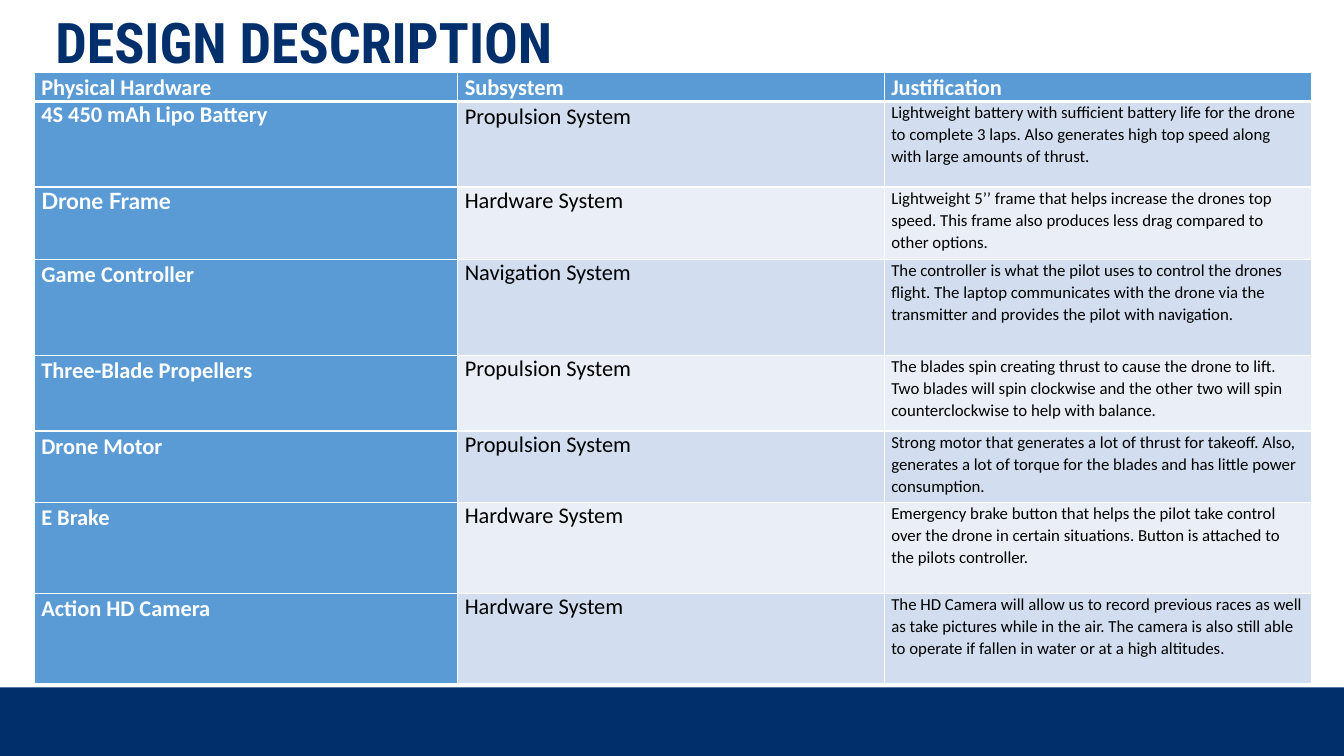
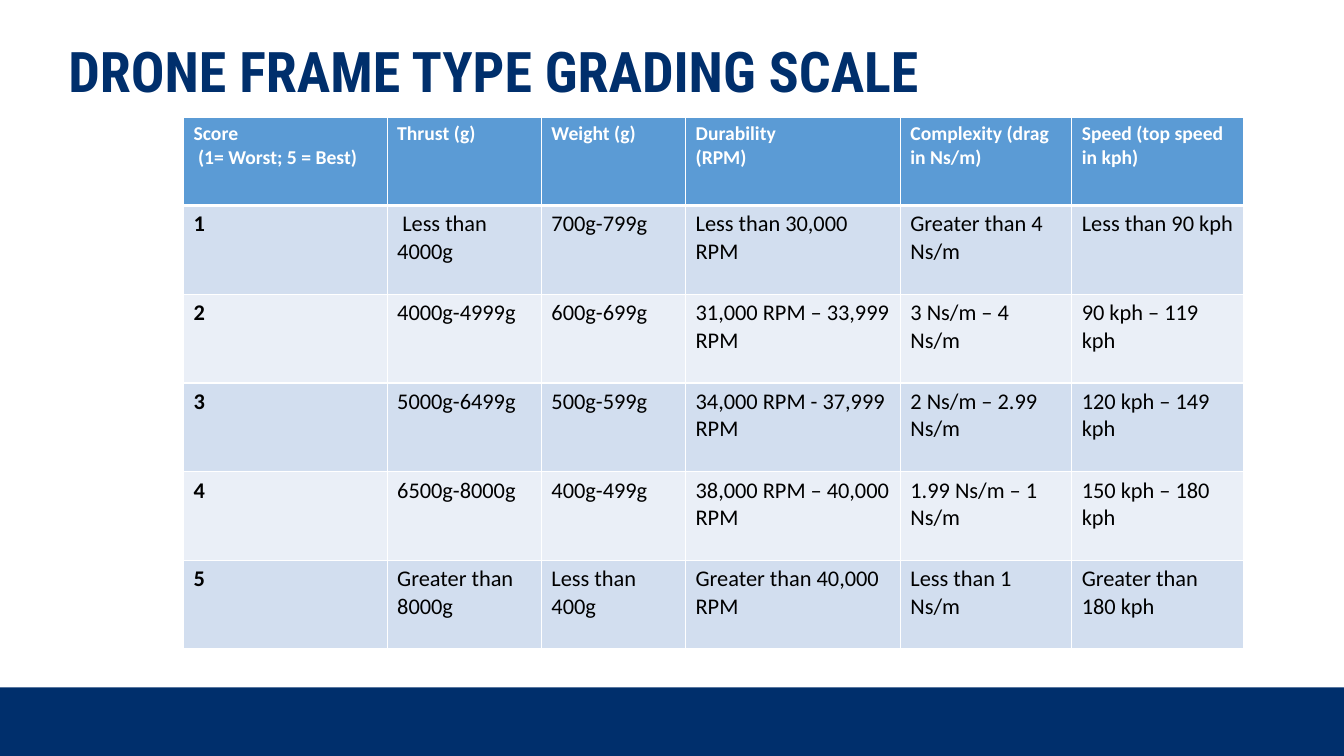
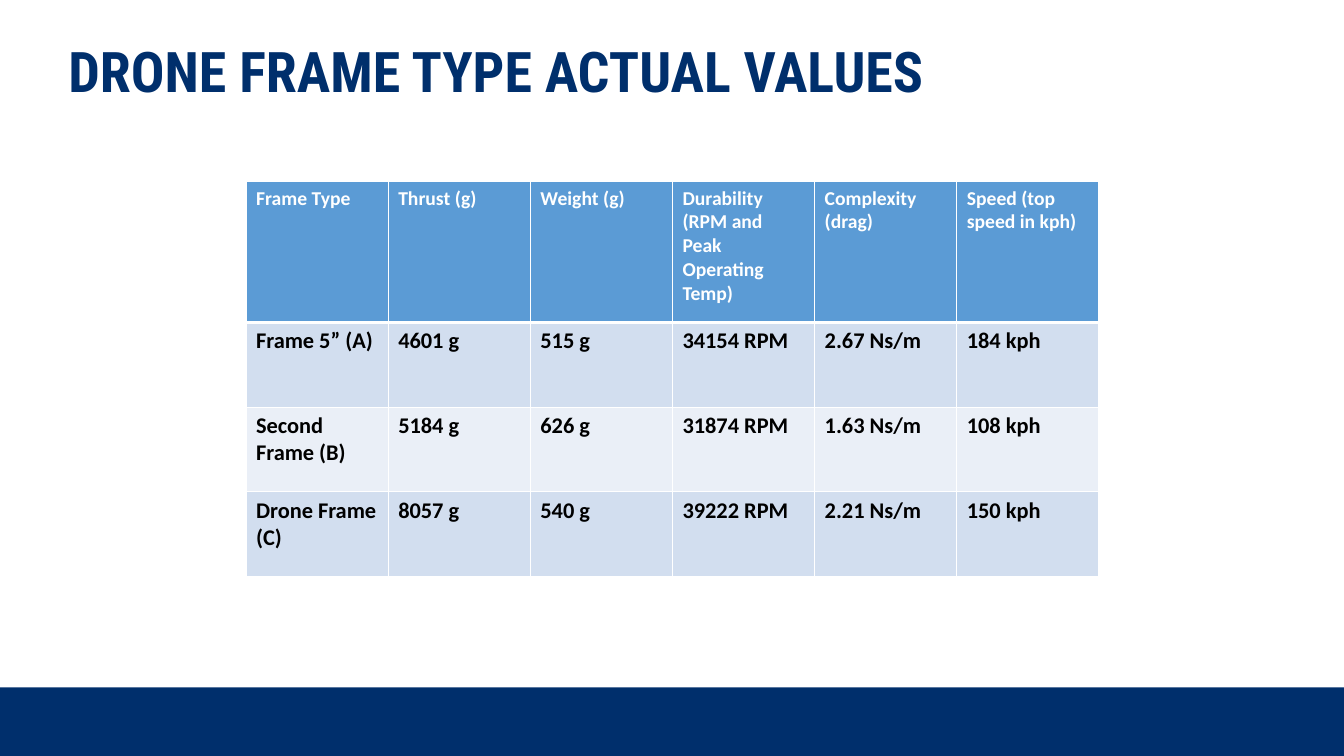
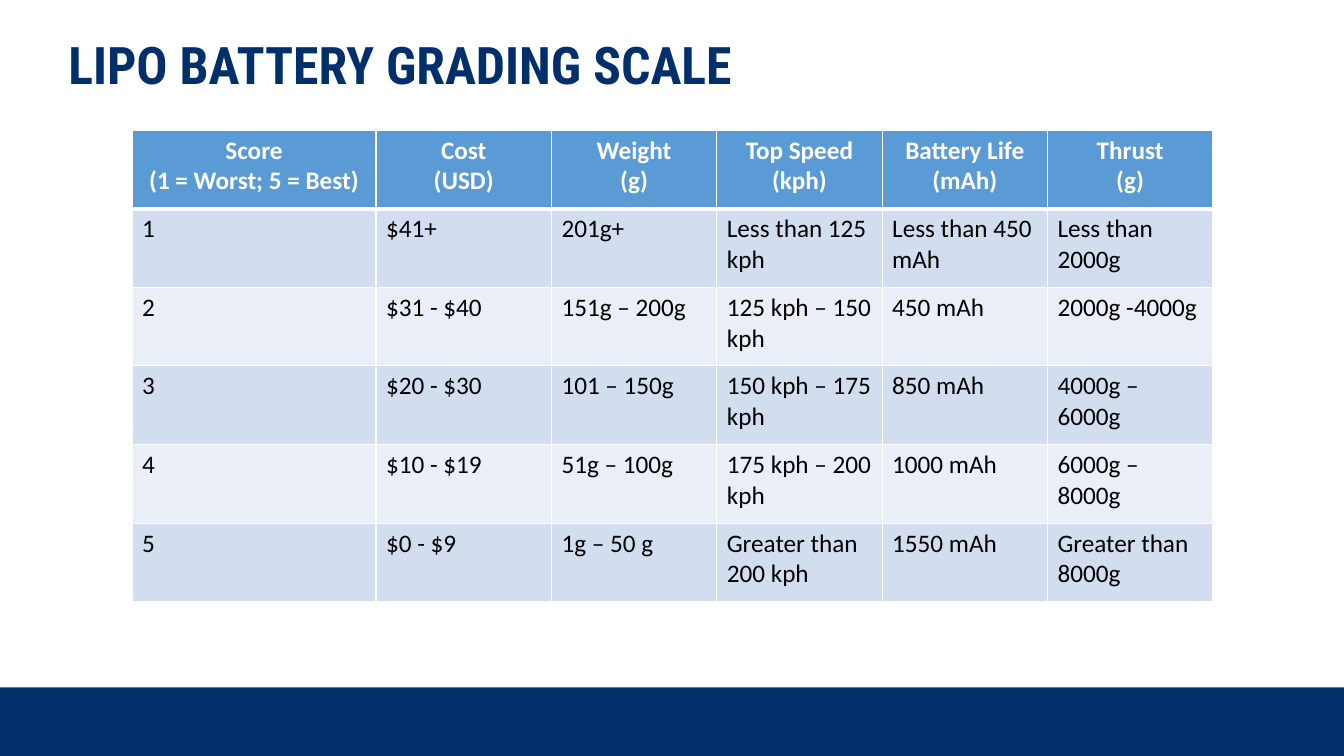
import dataclasses
import pptx
import pptx.dml.color
import pptx.enum.shapes
import pptx.enum.text
import pptx.oxml
import pptx.oxml.ns
import pptx.util

Inches = pptx.util.Inches
Point = pptx.util.Pt


@dataclasses.dataclass(frozen=True)
class Theme:
    navy: str = "002F6C"
    header: str = "5B9BD5"
    bands: tuple = ("D2DEEF", "EAEFF7")
    white: str = "FFFFFF"
    black: str = "000000"
    title_font: str = "Roboto Condensed"
    body_font: str = "Calibri"
    accent_font: str = "Lato"
    title_size: int = 40
    compact_title_size: int = 37
    large_size: int = 18
    body_size: int = 16
    header_size: int = 14
    detail_size: int = 12
    thin_border: int = 1
    thick_border: int = 3


THEME = Theme()
SLIDE_WIDTH, SLIDE_HEIGHT = 13.33, 7.5
FOOTER_TOP = 6.82
TITLE_BOX = (0.58, 0.39, 12.07, 0.61)
CENTER = pptx.enum.text.PP_ALIGN.CENTER


@dataclasses.dataclass(frozen=True)
class CellStyle:
    size: int = THEME.body_size
    color: str = THEME.black
    bold: bool = False
    font: str = THEME.body_font
    spacing: float = 1.0
    alignment: object = None
    fill: str = ""


def rgb(value):
    return pptx.dml.color.RGBColor.from_string(value)


def add_text(paragraph, text, style):
    if style.alignment is not None:
        paragraph.alignment = style.alignment
    if style.spacing != 1.0:
        paragraph.line_spacing = style.spacing
    run = paragraph.add_run()
    run.text = text
    run.font.name = style.font
    run.font.size = Point(style.size)
    run.font.bold = style.bold
    run.font.color.rgb = rgb(style.color)


def add_footer(slide):
    footer = slide.shapes.add_shape(
        pptx.enum.shapes.MSO_SHAPE.RECTANGLE,
        0, Inches(FOOTER_TOP), Inches(SLIDE_WIDTH), Inches(SLIDE_HEIGHT - FOOTER_TOP))
    footer.shadow.inherit = False
    footer.fill.solid()
    footer.fill.fore_color.rgb = rgb(THEME.navy)
    footer.line.fill.background()


def add_title(slide, text, box=TITLE_BOX, size=THEME.title_size, spacing=0.9):
    frame = slide.shapes.add_textbox(*map(Inches, box)).text_frame
    frame.word_wrap = True
    add_text(frame.paragraphs[0], text,
             CellStyle(size, THEME.navy, True, THEME.title_font, spacing))


def set_borders(cell, row_index):
    properties = cell._tc.get_or_add_tcPr()
    thick_side = {0: "lnB", 1: "lnT"}.get(row_index)
    for side in ("lnL", "lnR", "lnT", "lnB"):
        width = THEME.thick_border if side == thick_side else THEME.thin_border
        properties.append(pptx.oxml.parse_xml(
            f'<a:{side} {pptx.oxml.ns.nsdecls("a")} w="{Point(width)}">'
            f'<a:solidFill><a:srgbClr val="{THEME.white}"/></a:solidFill></a:{side}>'))


def fill_cell(cell, text, style, row_index, insets):
    cell.margin_left = cell.margin_right = Inches(insets[0])
    cell.margin_top = cell.margin_bottom = Inches(insets[1])
    set_borders(cell, row_index)
    cell.fill.solid()
    cell.fill.fore_color.rgb = rgb(style.fill or THEME.bands[(row_index - 1) % 2])
    frame = cell.text_frame
    for index, line in enumerate(text.split("\n")):
        paragraph = frame.add_paragraph() if index else frame.paragraphs[0]
        add_text(paragraph, line, style)


def add_table(slide, origin, widths, heights, rows, header_style, column_styles,
              exceptions=None, insets=(0.1, 0.05)):
    box = (*origin, sum(widths), sum(heights))
    table = slide.shapes.add_table(len(rows), len(widths), *map(Inches, box)).table
    table.first_row = table.horz_banding = False
    for column, width in zip(table.columns, widths):
        column.width = Inches(width)
    for row, height in zip(table.rows, heights):
        row.height = Inches(height)
    for row_index, row in enumerate(rows):
        for column_index, text in enumerate(row):
            style = column_styles[column_index] if row_index else header_style
            changes = (exceptions or {}).get((row_index, column_index), {})
            fill_cell(table.cell(row_index, column_index), text,
                      dataclasses.replace(style, **changes), row_index, insets)


HEADER = CellStyle(THEME.header_size, THEME.white, True, fill=THEME.header)
BODY = CellStyle()
BOLD_BODY = CellStyle(bold=True)


def build_design_description(slide):
    add_title(slide, "DESIGN DESCRIPTION", (0.45, 0.1, 12.07, 0.61))
    rows = [
        ("Physical Hardware", "Subsystem", "Justification"),
        ("4S 450 mAh Lipo Battery", "Propulsion System",
         "Lightweight battery with sufficient battery life for the drone to complete 3 laps. "
         "Also generates high top speed along with large amounts of thrust."),
        ("Drone Frame", "Hardware System",
         "Lightweight 5’’ frame that helps increase the drones top speed. "
         "This frame also produces less drag compared to other options."),
        ("Game Controller", "Navigation System",
         "The controller is what the pilot uses to control the drones flight. The laptop "
         "communicates with the drone via the transmitter and provides the pilot with navigation."),
        ("Three-Blade Propellers", "Propulsion System",
         "The blades spin creating thrust to cause the drone to lift. Two blades will spin "
         "clockwise and the other two will spin counterclockwise to help with balance."),
        ("Drone Motor", "Propulsion System",
         "Strong motor that generates a lot of thrust for takeoff. Also, generates a lot of "
         "torque for the blades and has little power consumption."),
        ("E Brake", "Hardware System",
         "Emergency brake button that helps the pilot take control over the drone in certain "
         "situations. Button is attached to the pilots controller."),
        ("Action HD Camera", "Hardware System",
         "The HD Camera will allow us to record previous races as well as take pictures while "
         "in the air. The camera is also still able to operate if fallen in water or at a high "
         "altitudes."),
    ]
    loose = 1.07
    label = dataclasses.replace(HEADER, size=THEME.body_size, spacing=loose)
    detail = CellStyle(THEME.detail_size, spacing=loose)
    exceptions = {
        (1, 0): {"spacing": 1.0},
        (1, 1): {"spacing": loose},
        (2, 0): {"spacing": 1.0, "font": THEME.accent_font},
    }
    add_table(slide, (0.34, 0.72), (4.2, 4.23, 4.24),
              (0.28, 0.85, 0.72, 0.95, 0.75, 0.71, 0.9, 0.9), rows,
              label, (label, BODY, detail), exceptions, insets=(0.07, 0))


def build_frame_grading(slide):
    add_title(slide, "DRONE FRAME TYPE GRADING SCALE")
    rows = [
        ("Score\n (1= Worst; 5 = Best)", "Thrust (g)", "Weight (g)", "Durability\n(RPM)",
         "Complexity (drag in Ns/m)", "Speed (top speed in kph)"),
        ("1", " Less than 4000g", "700g-799g", "Less than 30,000 RPM",
         "Greater than 4 Ns/m", "Less than 90 kph"),
        ("2", "4000g-4999g", "600g-699g", "31,000 RPM – 33,999 RPM",
         "3 Ns/m – 4 Ns/m", "90 kph – 119 kph"),
        ("3", "5000g-6499g", "500g-599g", "34,000 RPM - 37,999 RPM",
         "2 Ns/m – 2.99 Ns/m", "120 kph – 149 kph"),
        ("4", "6500g-8000g", "400g-499g", "38,000 RPM – 40,000 RPM",
         "1.99 Ns/m – 1 Ns/m", "150 kph – 180 kph"),
        ("5", "Greater than 8000g", "Less than 400g", "Greater than 40,000 RPM",
         "Less than 1 Ns/m", "Greater than 180 kph"),
    ]
    add_table(slide, (1.82, 1.16), (2.02, 1.53, 1.43, 2.13, 1.7, 1.7),
              [0.88] * len(rows), rows, HEADER, [BOLD_BODY] + [BODY] * 5)


def build_frame_values(slide):
    add_title(slide, "DRONE FRAME TYPE ACTUAL VALUES")
    rows = [
        ("Frame Type", "Thrust (g)", "Weight (g)",
         "Durability\n(RPM and Peak Operating Temp)", "Complexity (drag)",
         "Speed (top speed in kph)"),
        ("Frame 5” (A)", "4601 g", "515 g", "34154 RPM", "2.67 Ns/m", "184 kph"),
        ("Second Frame (B)", "5184 g", "626 g", "31874 RPM", "1.63 Ns/m", "108 kph"),
        ("Drone Frame (C)", "8057 g", "540 g", "39222 RPM", "2.21 Ns/m", "150 kph"),
    ]
    add_table(slide, (2.44, 1.8), [1.41] * 6, (1.4, 0.84, 0.84, 0.84), rows,
              HEADER, [BOLD_BODY] * 6)


def build_battery_grading(slide):
    add_title(slide, "LIPO BATTERY GRADING SCALE",
              size=THEME.compact_title_size, spacing=0.8)
    rows = [
        ("Score\n(1 = Worst; 5 = Best)", "Cost\n(USD)", "Weight\n(g)", "Top Speed (kph)",
         "Battery Life (mAh)", "Thrust\n(g)"),
        ("1", "$41+", "201g+", "Less than 125 kph", "Less than 450 mAh", "Less than 2000g"),
        ("2", "$31 - $40", "151g – 200g", "125 kph – 150 kph", "450 mAh", "2000g -4000g"),
        ("3", "$20 - $30", "101 – 150g", "150 kph – 175 kph", "850 mAh", "4000g – 6000g"),
        ("4", "$10 - $19", "51g – 100g", "175 kph – 200 kph", "1000 mAh", "6000g – 8000g"),
        ("5", "$0 - $9", "1g – 50 g", "Greater than 200 kph", "1550 mAh",
         "Greater than 8000g"),
    ]
    header = dataclasses.replace(HEADER, size=THEME.large_size, alignment=CENTER)
    add_table(slide, (1.31, 1.29), [2.42, 1.74] + [1.64] * 4, [0.78] * len(rows), rows,
              header, [CellStyle(THEME.large_size)] * 6)


def main():
    presentation = pptx.Presentation()
    presentation.slide_width = Inches(SLIDE_WIDTH)
    presentation.slide_height = Inches(SLIDE_HEIGHT)
    for build in (build_design_description, build_frame_grading,
                  build_frame_values, build_battery_grading):
        slide = presentation.slides.add_slide(presentation.slide_layouts[6])
        add_footer(slide)
        build(slide)
    presentation.save("out.pptx")


if __name__ == "__main__":
    main()
